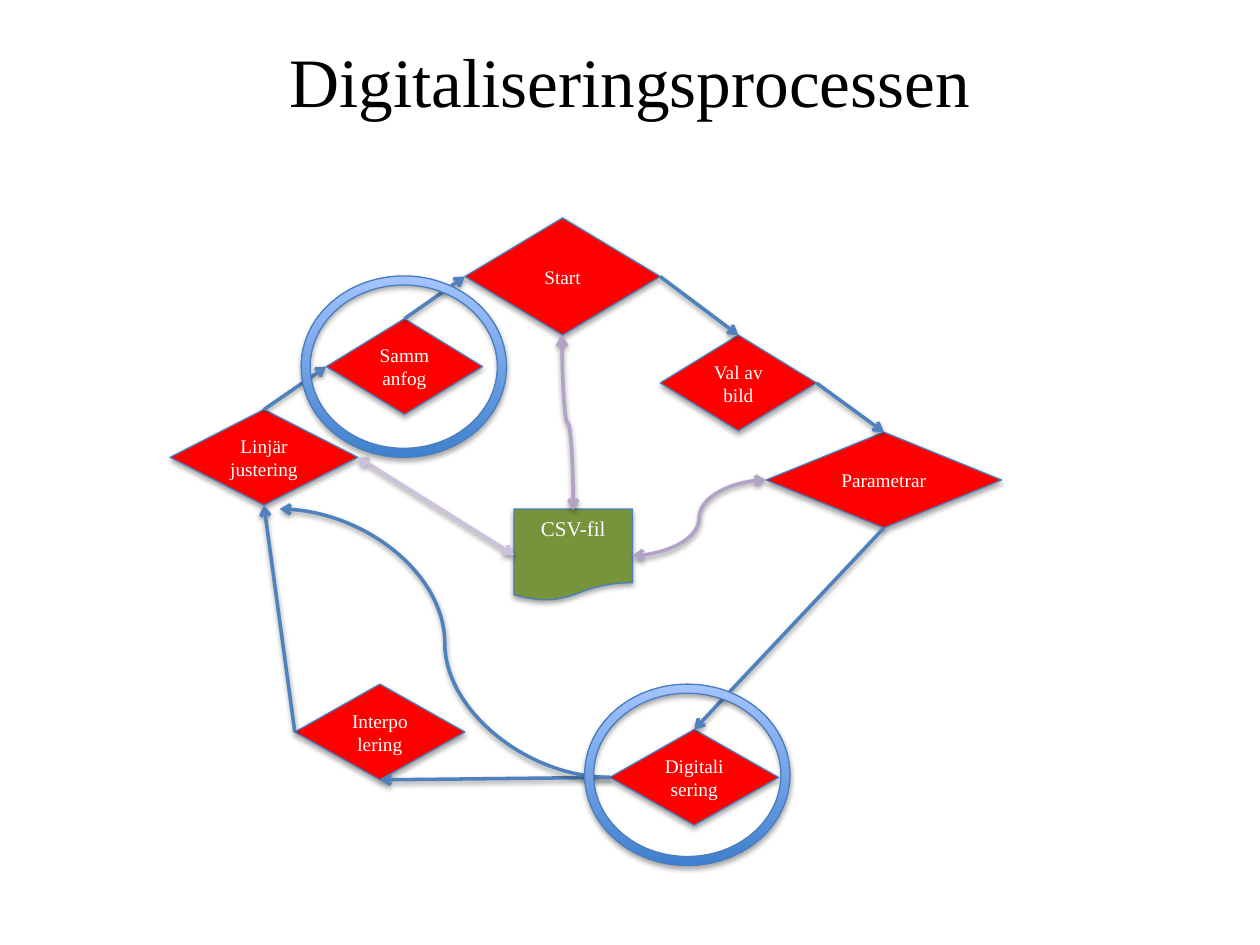
from lxml import etree
from pptx import Presentation
from pptx.dml.color import RGBColor
from pptx.enum.shapes import MSO_CONNECTOR, MSO_SHAPE
from pptx.enum.text import MSO_ANCHOR, PP_ALIGN
from pptx.oxml.ns import qn
from pptx.util import Inches, Pt

DECISION = MSO_SHAPE.FLOWCHART_DECISION
DOCUMENT = MSO_SHAPE.FLOWCHART_DOCUMENT
DONUT = MSO_SHAPE.DONUT
STRAIGHT = MSO_CONNECTOR.STRAIGHT
CURVE = MSO_CONNECTOR.CURVE
CENTER = PP_ALIGN.CENTER
TOP_ANCHOR = MSO_ANCHOR.TOP
MIDDLE_ANCHOR = MSO_ANCHOR.MIDDLE
TOP, LEFT, BOTTOM, RIGHT = range(4)

BLACK = RGBColor(0x00, 0x00, 0x00)
WHITE = RGBColor(0xFF, 0xFF, 0xFF)
RED = RGBColor(0xFF, 0x00, 0x00)
GREEN = RGBColor(0x77, 0x93, 0x3C)
OUTLINE = RGBColor(0x4B, 0x7E, 0xBC)
BLUE = RGBColor(0x4F, 0x81, 0xBD)
PURPLE = RGBColor(0xB3, 0xA2, 0xC7)
PALE_PURPLE = RGBColor(0xCC, 0xC1, 0xDA)
RING_DARK = RGBColor(0x3F, 0x80, 0xCE)
RING_LIGHT = RGBColor(0xA4, 0xC4, 0xFF)

presentation = Presentation()
presentation.slide_width = Inches(10)
presentation.slide_height = Inches(7.5)
slide = presentation.slides.add_slide(presentation.slide_layouts[6])
COLUMN = presentation.slide_width // 100
ROW = presentation.slide_height // 75


def write(shape, text, size, color, anchor):
    frame = shape.text_frame
    frame.word_wrap = True
    frame.vertical_anchor = anchor
    paragraph = frame.paragraphs[0]
    paragraph.alignment = CENTER
    run = paragraph.add_run()
    run.text = text
    run.font.name = "Times New Roman"
    run.font.size = Pt(size)
    run.font.color.rgb = color


def add_shadow(shape, opacity, distance):
    properties = shape._element.spPr
    effects = etree.SubElement(properties, qn("a:effectLst"))
    shadow = etree.SubElement(effects, qn("a:outerShdw"), blurRad=str(Pt(3.1)),
                              dist=str(Pt(distance)), dir="5400000", rotWithShape="0")
    color = etree.SubElement(shadow, qn("a:srgbClr"), val=str(BLACK))
    etree.SubElement(color, qn("a:alpha"), val=str(opacity * 1000))


title = slide.shapes.add_textbox(5 * COLUMN, 3 * ROW, 90 * COLUMN, 12.5 * ROW)
title.text_frame.margin_top = 0
write(title, "Digitaliseringsprocessen", 39.6, BLACK, TOP_ANCHOR)

steps = [
    ("Start", DECISION, 36.9, 17.3, 15.5, 9.3),
    ("Val av bild", DECISION, 52.4, 26.6, 12.4, 7.6),
    ("Parametrar", DECISION, 60.8, 34.3, 18.7, 7.6),
    ("Digitalisering", DECISION, 48.4, 57.9, 13.4, 7.6),
    ("Interpolering", DECISION, 23.4, 54.3, 13.5, 7.6),
    ("Linjär justering", DECISION, 13.5, 32.5, 14.9, 7.6),
    ("Sammanfog", DECISION, 25.9, 25.3, 12.4, 7.6),
    ("CSV-fil", DOCUMENT, 40.8, 40.4, 9.4, 7.3),
]
nodes = {}
for name, kind, left, top, width, height in steps:
    node = slide.shapes.add_shape(kind, left * COLUMN, top * ROW, width * COLUMN, height * ROW)
    is_document = kind == DOCUMENT
    node.fill.solid()
    node.fill.fore_color.rgb = GREEN if is_document else RED
    node.line.color.rgb = OUTLINE
    node.line.width = Pt(0.75)
    add_shadow(node, 35, 1.8)
    write(node, name, 12 if is_document else 11, WHITE,
          TOP_ANCHOR if is_document else MIDDLE_ANCHOR)
    nodes[name] = node

connectors = []
links = [
    ("Val av bild", RIGHT, "Parametrar", TOP, BLUE, False),
    ("Parametrar", BOTTOM, "Digitalisering", TOP, BLUE, False),
    ("Interpolering", LEFT, "Linjär justering", BOTTOM, BLUE, False),
    ("Linjär justering", TOP, "Sammanfog", LEFT, BLUE, False),
    ("Sammanfog", TOP, "Start", LEFT, BLUE, False),
    ("Start", RIGHT, "Val av bild", TOP, BLUE, False),
    ("Digitalisering", LEFT, "Interpolering", BOTTOM, BLUE, False),
    ("Linjär justering", RIGHT, "CSV-fil", LEFT, PALE_PURPLE, True),
]
for source, source_side, target, target_side, color, two_way in links:
    connector = slide.shapes.add_connector(STRAIGHT, 0, 0, 0, 0)
    connector.begin_connect(nodes[source], source_side)
    connector.end_connect(nodes[target], target_side)
    connectors.append((connector, color, two_way))

curves = [
    (38.1, 34, 52, 33.1, 270, PURPLE, True),
    (48.4, 61.7, 22.2, 40.4, 0, BLUE, False),
    (50.2, 44.1, 60.8, 38.1, 0, PURPLE, True),
]
for start_x, start_y, end_x, end_y, rotation, color, two_way in curves:
    connector = slide.shapes.add_connector(CURVE, start_x * COLUMN, start_y * ROW,
                                           end_x * COLUMN, end_y * ROW)
    if rotation:
        connector._element.spPr.find(qn("a:xfrm")).set("rot", str(rotation * 60000))
    connectors.append((connector, color, two_way))

for connector, color, two_way in connectors:
    connector.line.color.rgb = color
    connector.line.width = Pt(2)
    line = connector.line._get_or_add_ln()
    for end in ["a:headEnd", "a:tailEnd"] if two_way else ["a:tailEnd"]:
        etree.SubElement(line, qn(end), type="arrow")
    add_shadow(connector, 38, 1.6)

for left, top in [(23.9, 21.9), (46.4, 54.3)]:
    ring = slide.shapes.add_shape(DONUT, left * COLUMN, top * ROW, 16.3 * COLUMN, 14.4 * ROW)
    ring.adjustments[0] = 0.05
    ring.fill.gradient()
    ring.fill.gradient_angle = 90
    for stop, color, position in zip(ring.fill.gradient_stops, [RING_DARK, RING_LIGHT], [0, 1]):
        stop.color.rgb = color
        stop.position = position
    ring.line.color.rgb = OUTLINE
    ring.line.width = Pt(0.75)
    add_shadow(ring, 35, 1.8)

presentation.save("out.pptx")
